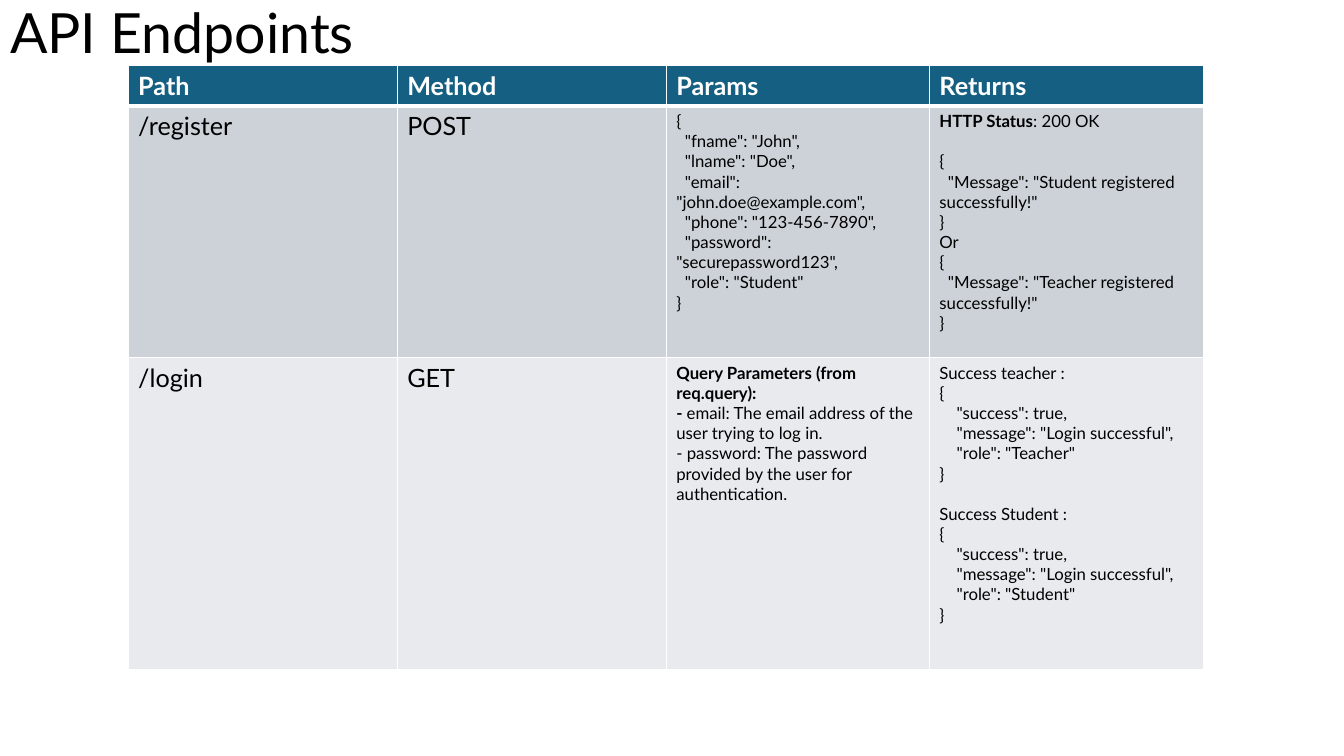
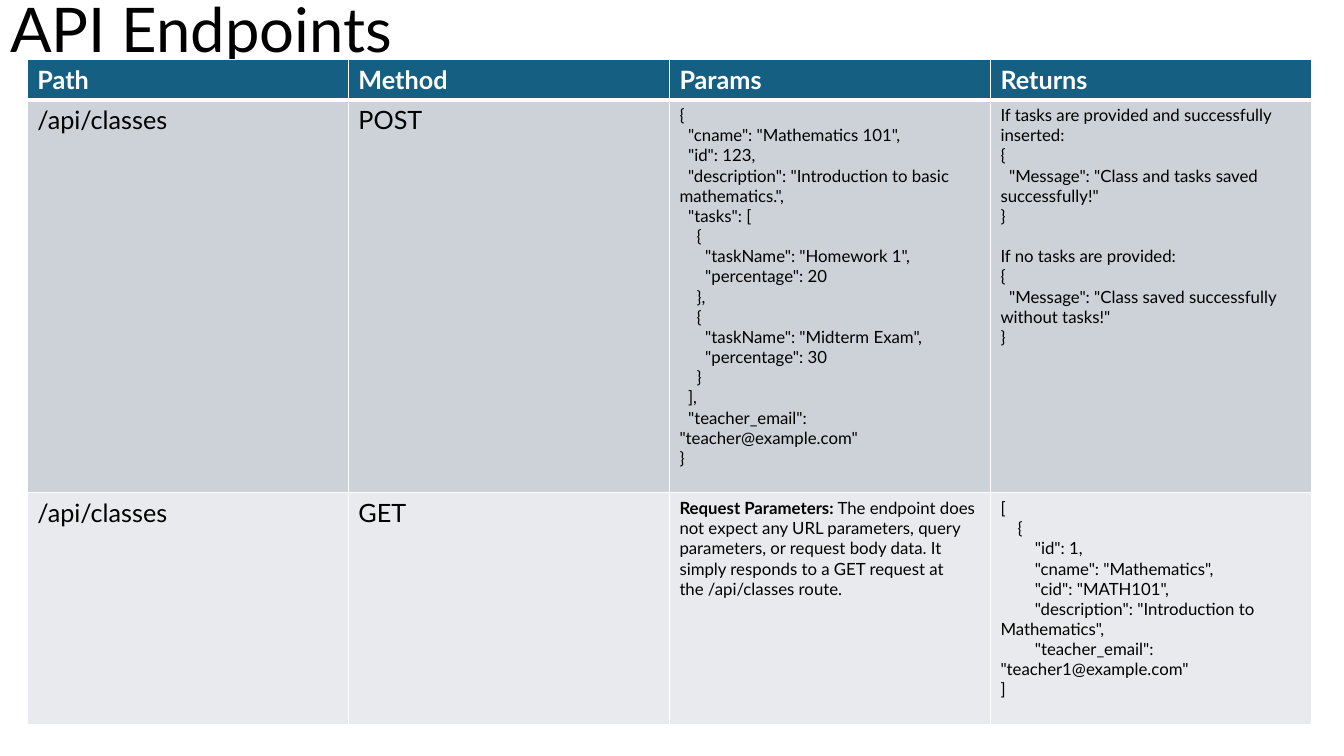
from lxml.etree import SubElement
from pptx import Presentation
from pptx.dml.color import RGBColor
from pptx.enum.text import MSO_ANCHOR, MSO_AUTO_SIZE, PP_ALIGN
from pptx.oxml.ns import qn
from pptx.util import Cm, Pt

# Shared look
FONT = "Lato"
BLACK = RGBColor(0x00, 0x00, 0x00)
WHITE = RGBColor(0xFF, 0xFF, 0xFF)
HEADER_BLUE = RGBColor(0x15, 0x60, 0x82)
BAND_DARK = RGBColor(0xCC, 0xD2, 0xD8)
BAND_LIGHT = RGBColor(0xE8, 0xEA, 0xED)
ROW_FILLS = [HEADER_BLUE, BAND_DARK, BAND_LIGHT]
TITLE = "API Endpoints"
HEADINGS = ["Path", "Method", "Params", "Returns"]
HEADER_HEIGHT = 1.02
LABEL_SIZE, DETAIL_SIZE = Pt(18), Pt(12)
LINE_GAP = Pt(14.4)

# Cell texts: ** switches bold on and off, an empty line is a gap
REGISTER_PARAMS = """{
  "fname": "John",
  "lname": "Doe",
  "email": "john.doe@example.com",
  "phone": "123-456-7890",
  "password": "securepassword123",
  "role": "Student"
}"""
REGISTER_RETURNS = """**HTTP Status**: 200 OK

{
  "Message": "Student registered successfully!"
}
Or
{
  "Message": "Teacher registered successfully!"
}"""
LOGIN_PARAMS = """**Query Parameters (from req.query):**
**- **email: The email address of the user trying to log in.
- password: The password provided by the user for authentication."""
LOGIN_RETURNS = """Success teacher :
{
    "success": true,
    "message": "Login successful",
    "role": "Teacher"
}

Success Student :
{
    "success": true,
    "message": "Login successful",
    "role": "Student"
}"""
CREATE_PARAMS = """{
  "cname": "Mathematics 101",
  "id": 123,
  "description": "Introduction to basic mathematics.",
  "tasks": [
    {
      "taskName": "Homework 1",
      "percentage": 20
    },
    {
      "taskName": "Midterm Exam",
      "percentage": 30
    }
  ],
  "teacher_email": "teacher@example.com"
}"""
CREATE_RETURNS = """If tasks are provided and successfully inserted:
{
  "Message": "Class and tasks saved successfully!"
}

If no tasks are provided:
{
  "Message": "Class saved successfully without tasks!"
}"""
LIST_PARAMS = (
    "**Request Parameters:** The endpoint does not expect any URL parameters, "
    "query parameters, or request body data. It simply responds to a GET "
    "request at the /api/classes route."
)
LIST_RETURNS = """[
    {
        "id": 1,
        "cname": "Mathematics",
        "cid": "MATH101",
        "description": "Introduction to Mathematics",
        "teacher_email": "teacher1@example.com"
]"""

# One entry per slide, lengths in centimetres
PAGES = [
    {
        "title_box": (0, 0.15, 12.62, 1.5),
        "title_size": 39.6,
        "table_corner": (3.23, 1.65),
        "columns": [6.78, 6.78, 6.63, 6.91],
        "rows": [HEADER_HEIGHT, 6.34, 7.87],
        "endpoints": [
            ["/register", "POST", REGISTER_PARAMS, REGISTER_RETURNS],
            ["/login", "GET", LOGIN_PARAMS, LOGIN_RETURNS],
        ],
    },
    {
        "title_box": (0, -1.02, 29.21, 3.68),
        "title_size": 44,
        "table_corner": (0.69, 1.5),
        "columns": [8.09] * 4,
        "rows": [HEADER_HEIGHT, 9.9, 5.85],
        "endpoints": [
            ["/api/classes", "POST", CREATE_PARAMS, CREATE_RETURNS],
            ["/api/classes", "GET", LIST_PARAMS, LIST_RETURNS],
        ],
    },
]


def add_span(para, text, size, color, bold=False):
    span = para.add_run()
    span.text = text
    span.font.name = FONT
    span.font.size = size
    span.font.bold = bold
    span.font.color.rgb = color


def format_cell(cell, row_index):
    """White cell borders, thicker under the header, and the row's fill."""
    cell_properties = cell._tc.get_or_add_tcPr()
    widths = {
        "a:lnL": 1,
        "a:lnR": 1,
        "a:lnT": 3 if row_index == 1 else 1,
        "a:lnB": 3 if row_index == 0 else 1,
    }
    for tag, width in widths.items():
        line = SubElement(cell_properties, qn(tag), w=str(Pt(width)))
        fill = SubElement(line, qn("a:solidFill"))
        SubElement(fill, qn("a:srgbClr"), val=str(WHITE))
    cell.fill.solid()
    cell.fill.fore_color.rgb = ROW_FILLS[row_index]


deck = Presentation()
deck.slide_width, deck.slide_height = Cm(33.87), Cm(19.05)

for content in PAGES:
    page = deck.slides.add_slide(deck.slide_layouts[5])

    # Title
    title = page.shapes.title
    title.left, title.top, title.width, title.height = map(Cm, content["title_box"])
    title.text_frame.auto_size = MSO_AUTO_SIZE.NONE
    title.text_frame.vertical_anchor = MSO_ANCHOR.MIDDLE
    para = title.text_frame.paragraphs[0]
    para.alignment = PP_ALIGN.LEFT
    para.line_spacing = 0.9
    add_span(para, TITLE, Pt(content["title_size"]), BLACK)

    # Table grid
    columns, rows = content["columns"], content["rows"]
    left, top = content["table_corner"]
    table = page.shapes.add_table(
        len(rows), len(columns), Cm(left), Cm(top), Cm(sum(columns)), Cm(sum(rows))
    ).table
    table.horz_banding = False
    for column, width in zip(table.columns, columns):
        column.width = Cm(width)
    for row, height in zip(table.rows, rows):
        row.height = Cm(height)

    # Cell texts
    for row_index, texts in enumerate([HEADINGS] + content["endpoints"]):
        is_header = row_index == 0
        for column_index, text in enumerate(texts):
            cell = table.cell(row_index, column_index)
            format_cell(cell, row_index)
            is_label = is_header or column_index < 2
            size = LABEL_SIZE if is_label else DETAIL_SIZE
            color = WHITE if is_header else BLACK
            para, gap = cell.text_frame.paragraphs[0], False
            for line_index, line in enumerate(text.split("\n")):
                if not line:
                    gap = True
                    continue
                if line_index:
                    para = cell.text_frame.add_paragraph()
                if gap:
                    para.space_before, gap = LINE_GAP, False
                for part_index, part in enumerate(line.split("**")):
                    if part:
                        add_span(para, part, size, color, is_header or part_index % 2 == 1)

deck.save("out.pptx")
